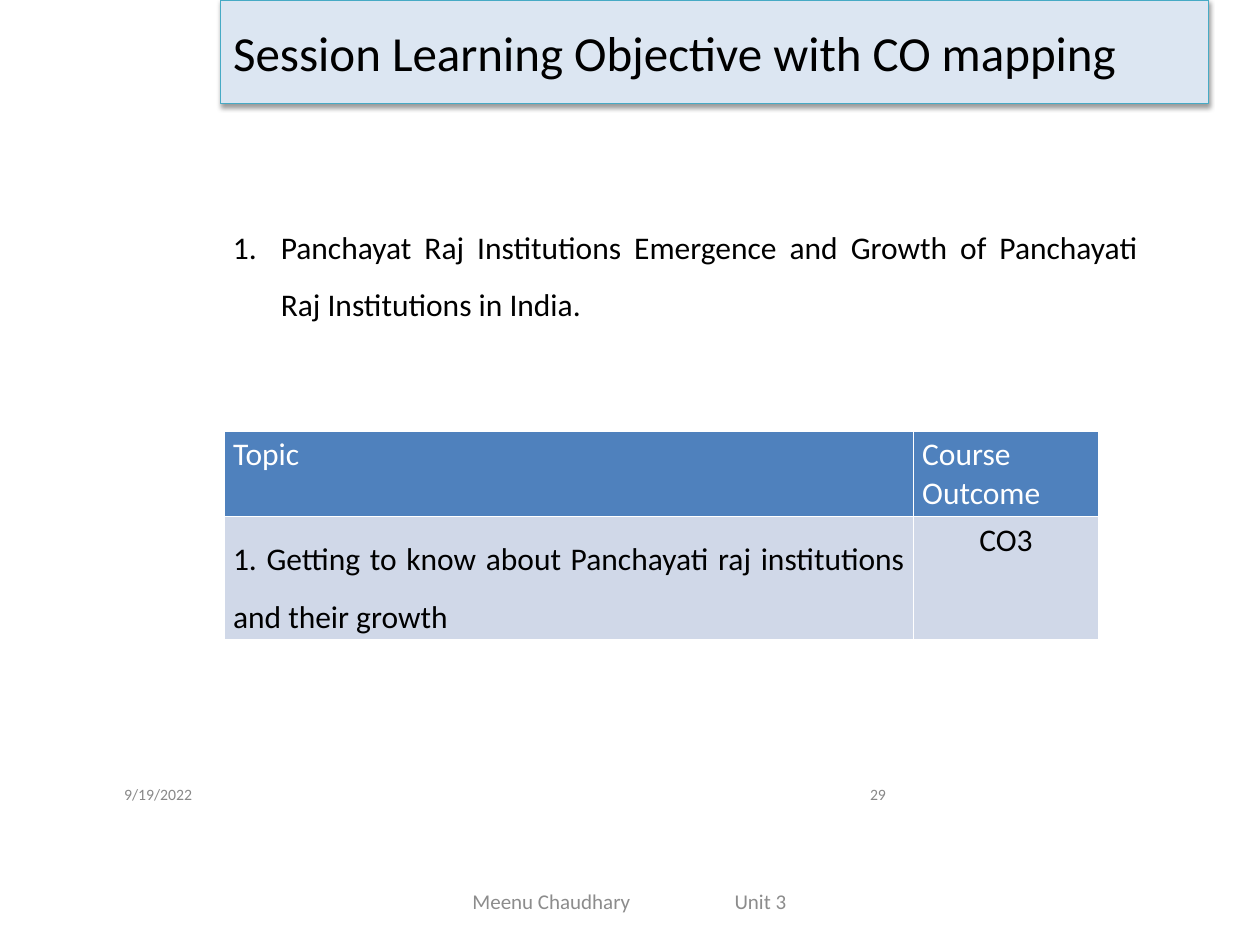
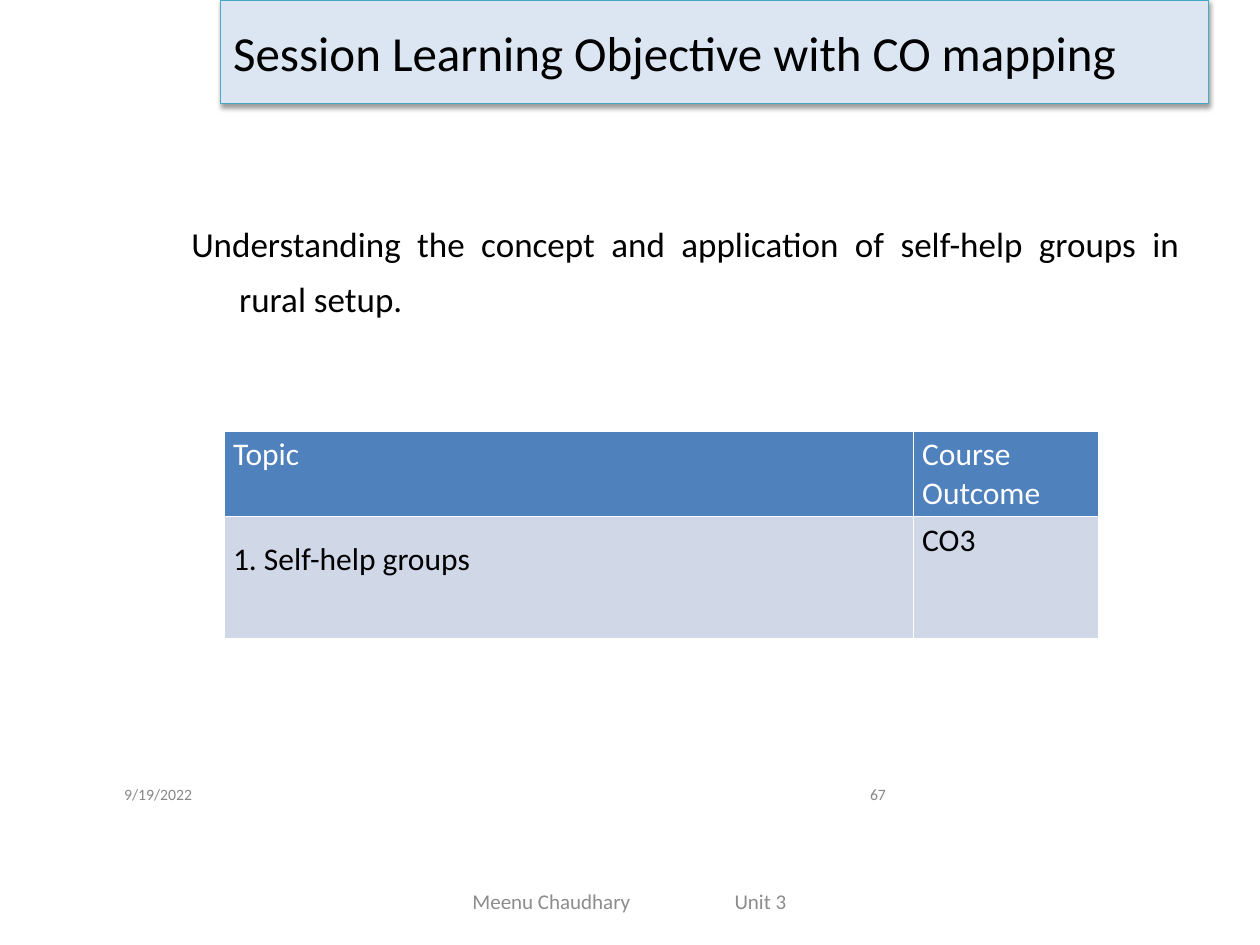
from dataclasses import dataclass

from lxml.etree import SubElement
from pptx import Presentation
from pptx.dml.color import RGBColor as Rgb
from pptx.enum.text import MSO_ANCHOR as Anchor, MSO_AUTO_SIZE as AutoSize, PP_ALIGN as Align
from pptx.oxml.ns import qn
from pptx.util import Inches, Pt


@dataclass(frozen=True)
class Theme:
    """Colours and type sizes shared by the slides."""
    font: str = "Calibri"
    ink: str = "000000"
    white: str = "FFFFFF"
    band: str = "DCE6F2"
    band_edge: str = "46AAC5"
    header: str = "4F81BD"
    row: str = "D0D8E8"
    muted: str = "888888"
    footer: str = "8C8C8C"
    title_size: int = 28
    body_size: int = 18
    large_body_size: int = 20
    footer_size: int = 12
    small_size: int = 9


@dataclass(frozen=True)
class Session:
    """What differs from one session slide to the next."""
    objective: str
    objective_box: tuple
    objective_size: int
    line_spacing: float
    numbered: bool
    topic: str
    outcome_align: Align
    page: str


THEME = Theme()
SESSIONS = [
    Session("Panchayat Raj Institutions Emergence and Growth of Panchayati Raj Institutions in India.",
            (1.75, 1.61, 7.38, 1.42), THEME.body_size, 1.5, True,
            "Getting to know about Panchayati raj institutions and their growth",
            Align.CENTER, "29"),
    Session("Understanding the concept and application of self-help groups in rural setup.",
            (1.42, 1.61, 8.04, 1.44), THEME.large_body_size, 1.31, False,
            "Self-help groups", Align.LEFT, "67"),
]


def child(parent, tag, **attributes):
    """Append an XML element with the given attributes."""
    return SubElement(parent, qn(tag), {key: str(value) for key, value in attributes.items()})


def style(paragraph, size, color, align=Align.LEFT):
    """Set the alignment and font of a paragraph and its runs."""
    paragraph.alignment = align
    for run in paragraph.runs:
        run.font.name = THEME.font
        run.font.size = Pt(size)
        run.font.bold = False
        run.font.color.rgb = Rgb.from_string(color)


def indent(paragraph, left, first):
    """Set the left margin and first-line indent."""
    properties = paragraph._p.get_or_add_pPr()
    properties.set("marL", str(Inches(left)))
    properties.set("indent", str(Inches(first)))


def number(paragraph):
    """Number a paragraph automatically as 1., 2., 3."""
    properties = paragraph._p.get_or_add_pPr()
    child(child(properties, "a:buClr"), "a:srgbClr", val=THEME.ink)
    child(properties, "a:buFont", typeface="+mj-lt")
    child(properties, "a:buAutoNum", type="arabicPeriod")


def add_text(slide, box, text, anchor=Anchor.TOP):
    """Add a wrapping text box and return its text frame."""
    frame = slide.shapes.add_textbox(*map(Inches, box)).text_frame
    frame.word_wrap = True
    frame.vertical_anchor = anchor
    frame.text = text
    return frame


def add_title(slide, text):
    """Turn the title placeholder into the shadowed title band."""
    title = slide.shapes.title
    title.left, title.top, title.width, title.height = map(Inches, (1.75, 0, 7.84, 0.82))
    title.fill.solid()
    title.fill.fore_color.rgb = Rgb.from_string(THEME.band)
    title.line.color.rgb = Rgb.from_string(THEME.band_edge)
    title.line.width = Pt(0.75)
    shadow = child(child(title._element.spPr, "a:effectLst"), "a:outerShdw",
                   blurRad=Pt(3.1), dist=Pt(1.6), dir=5400000, rotWithShape=0)
    child(child(shadow, "a:srgbClr", val=THEME.ink), "a:alpha", val=38000)
    frame = title.text_frame
    frame.auto_size = AutoSize.NONE
    frame.vertical_anchor = Anchor.MIDDLE
    frame.text = text
    style(frame.paragraphs[0], THEME.title_size, THEME.ink)


def add_objective(slide, session):
    """Add the session objective with its hanging indent."""
    objective = add_text(slide, session.objective_box, session.objective).paragraphs[0]
    indent(objective, 0.38, -0.38)
    objective.line_spacing = session.line_spacing
    if session.numbered:
        number(objective)
    style(objective, session.objective_size, THEME.ink, Align.JUSTIFY)


def fill_cell(cell, text, fill, color, align=Align.LEFT):
    """Write a cell, with white borders and a plain fill, and return its paragraph."""
    properties = cell._tc.get_or_add_tcPr()
    for side in "LRTB":
        border = child(properties, f"a:ln{side}", w=Pt(1))
        child(child(border, "a:solidFill"), "a:srgbClr", val=THEME.white)
    cell.fill.solid()
    cell.fill.fore_color.rgb = Rgb.from_string(fill)
    cell.margin_left = cell.margin_right = Inches(0.07)
    cell.margin_top = cell.margin_bottom = Inches(0.04)
    cell.text = text
    paragraph = cell.text_frame.paragraphs[0]
    style(paragraph, THEME.body_size, color, align)
    return paragraph


def add_mapping(slide, session):
    """Add the table that maps the topic to its course outcome."""
    widths, heights = (5.47, 1.47), (0.67, 0.97)
    mapping = slide.shapes.add_table(2, 2, *map(Inches, (1.78, 3.42, sum(widths), sum(heights)))).table
    for column, width in zip(mapping.columns, widths):
        column.width = Inches(width)
    for row, height in zip(mapping.rows, heights):
        row.height = Inches(height)
    for column, heading in enumerate(("Topic", "Course Outcome")):
        fill_cell(mapping.cell(0, column), heading, THEME.header, THEME.white)
    topic = fill_cell(mapping.cell(1, 0), f" {session.topic}", THEME.row, THEME.ink, Align.JUSTIFY)
    indent(topic, 0, 0)
    topic.line_spacing = 1.5
    number(topic)
    fill_cell(mapping.cell(1, 1), "CO3", THEME.row, THEME.ink, session.outcome_align)


def add_footer(slide, page):
    """Add the date, the page number and the author line."""
    for left, text, align in ((0.38, "9/19/2022", Align.CENTER), (5.38, page, Align.RIGHT)):
        frame = add_text(slide, (left, 6.15, 1.75, 0.3), text, Anchor.MIDDLE)
        style(frame.paragraphs[0], THEME.small_size, THEME.muted, align)
    frame = add_text(slide, (3.42, 6.95, 3.17, 0.4), "Meenu Chaudhary\tUnit 3", Anchor.MIDDLE)
    frame.margin_left = Inches(0.33)
    author = frame.paragraphs[0]
    tabs = child(author._p.get_or_add_pPr(), "a:tabLst")
    child(tabs, "a:tab", pos=Inches(2.08), algn="l")
    style(author, THEME.footer_size, THEME.footer)


def main():
    """Build the session slides and save the deck."""
    deck = Presentation()
    deck.slide_width, deck.slide_height = Inches(10), Inches(7.5)
    title_only = deck.slide_layouts[5]
    for session in SESSIONS:
        slide = deck.slides.add_slide(title_only)
        add_title(slide, "Session Learning Objective with CO mapping")
        add_objective(slide, session)
        add_mapping(slide, session)
        add_footer(slide, session.page)
    deck.save("out.pptx")


if __name__ == "__main__":
    main()
